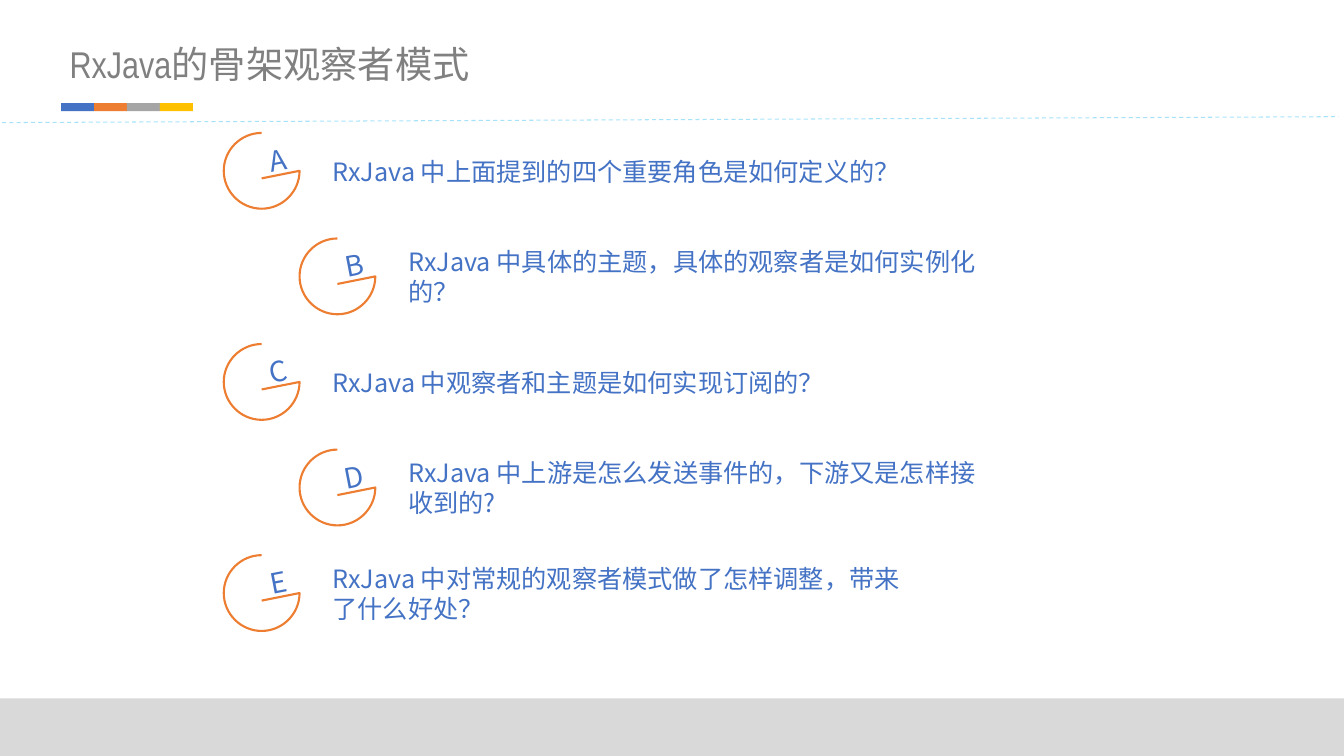
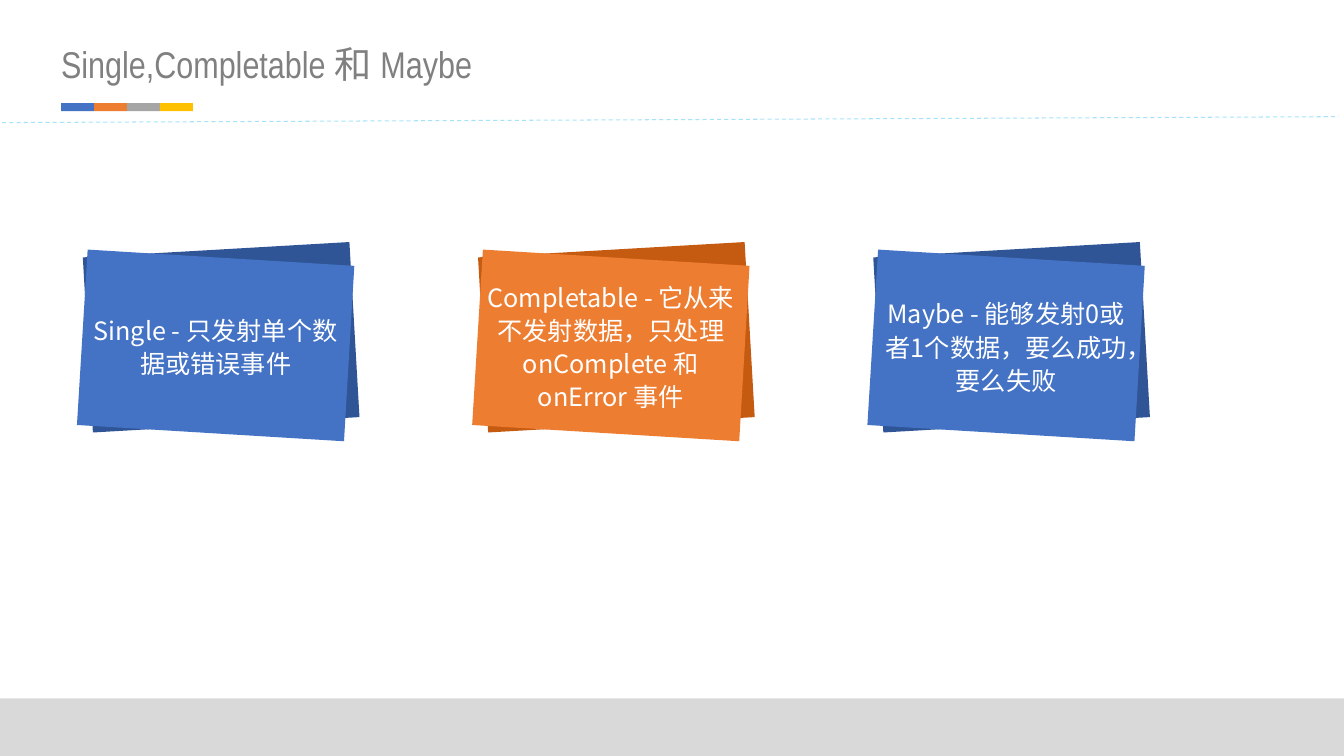
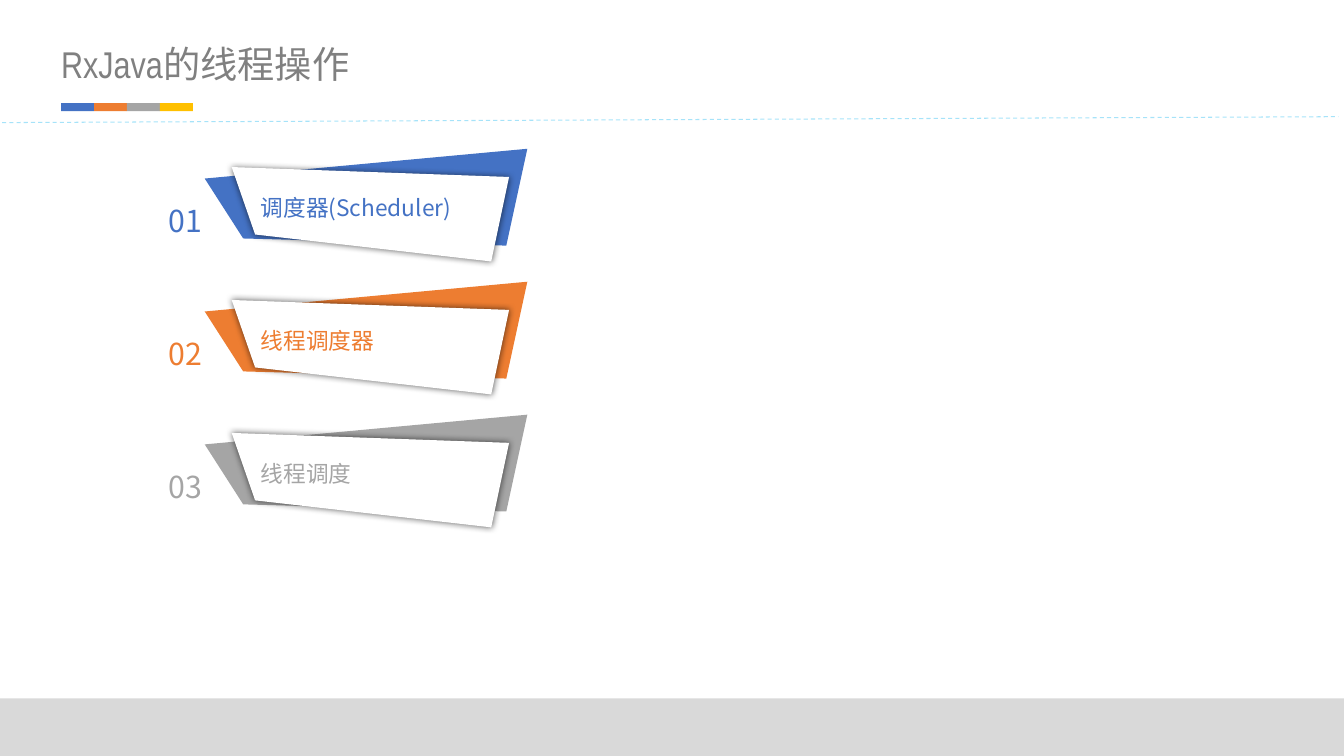
from lxml import etree
from pptx import Presentation
from pptx.dml.color import RGBColor
from pptx.enum.dml import MSO_LINE
from pptx.enum.shapes import MSO_CONNECTOR, MSO_SHAPE
from pptx.enum.text import MSO_ANCHOR, PP_ALIGN
from pptx.oxml.ns import qn
from pptx.util import Cm, Pt

RECT = MSO_SHAPE.RECTANGLE
STRAIGHT = MSO_CONNECTOR.STRAIGHT
DASH = MSO_LINE.DASH
TOP, MIDDLE = MSO_ANCHOR.TOP, MSO_ANCHOR.MIDDLE
LEFT, CENTER = PP_ALIGN.LEFT, PP_ALIGN.CENTER

BLUE = RGBColor(0x44, 0x72, 0xC4)
ORANGE = RGBColor(0xED, 0x7D, 0x31)
GRAY = RGBColor(0xA5, 0xA5, 0xA5)
YELLOW = RGBColor(0xFF, 0xC0, 0x00)
DARK_BLUE = RGBColor(0x2F, 0x55, 0x97)
DARK_ORANGE = RGBColor(0xC5, 0x5A, 0x11)
SKY = RGBColor(0x00, 0xB0, 0xF0)
TITLE_GRAY = RGBColor(0x80, 0x80, 0x80)
BAND_GRAY = RGBColor(0xD9, 0xD9, 0xD9)
WHITE = RGBColor(0xFF, 0xFF, 0xFF)

BODY_FONT = "Noto Sans CJK SC"
TITLE_FONT = "Arial Narrow"
SLIDE_W, SLIDE_H = 33.87, 19.05

TITLE = {"name": TITLE_FONT, "size": Pt(26.6)}
LETTER = {"name": BODY_FONT, "size": Pt(20)}
BODY = {"name": BODY_FONT, "size": Pt(18)}
NUMBER = {"name": BODY_FONT, "size": Pt(21.6)}
LABEL = {"name": BODY_FONT, "size": Pt(16.2)}

QUESTIONS = [
    ("A", "RxJava 中上面提到的四个重要角色是如何定义的？"),
    ("B", "RxJava 中具体的主题，具体的观察者是如何实例化的？"),
    ("C", "RxJava 中观察者和主题是如何实现订阅的？"),
    ("D", "RxJava 中上游是怎么发送事件的，下游又是怎样接收到的?"),
    ("E", "RxJava 中对常规的观察者模式做了怎样调整，带来了什么好处？"),
]
CARDS = [
    ("Single - 只发射单个数据或错误事件", BLUE, DARK_BLUE),
    ("Completable - 它从来不发射数据，只处理 onComplete 和 onError 事件",
     ORANGE, DARK_ORANGE),
    ("Maybe - 能够发射0或者1个数据，要么成功，要么失败", BLUE, DARK_BLUE),
]
TOPICS = [
    ("调度器(Scheduler)", BLUE),
    ("线程调度器", ORANGE),
    ("线程调度", GRAY),
]

CARD_OUTLINE = [(6.73, 4.83), (0, 4.42), (0.27, 0), (6.99, 0.41)]
BANNER_BACK = [(0, 0.75), (0.97, 2.26), (7.6, 2.44), (8.13, 0)]
BANNER_FRONT = [(0, 0), (0.59, 1.7), (6.54, 2.38), (6.99, 0.25)]
RING = 1.91
CURVE = 0.55  # handle length of a quarter circle, as a share of its radius


def paint(sp, fill=None, line=None):
    sp.shadow.inherit = False
    if fill is None:
        sp.fill.background()
    else:
        sp.fill.solid()
        sp.fill.fore_color.rgb = fill
    if line is None:
        sp.line.fill.background()
    else:
        sp.line.color.rgb = line
        sp.line.width = Pt(1.5)


def write(sp, text, style, color, align=LEFT, anchor=TOP, inset=None,
          wrap=True, spacing=None):
    tf = sp.text_frame
    tf.word_wrap = wrap
    tf.vertical_anchor = anchor
    if inset is not None:
        for side in ("left", "top", "right", "bottom"):
            setattr(tf, f"margin_{side}", Cm(inset))
    p = tf.paragraphs[0]
    p.alignment = align
    if spacing:
        p.line_spacing = spacing
    r = p.add_run()
    r.text = text
    for key, value in style.items():
        setattr(r.font, key, value)
    r.font.color.rgb = color
    ea = etree.SubElement(r.font._element, qn("a:ea"))
    ea.set("typeface", BODY_FONT)


def add_text(s, box, text, style, color, **layout):
    sp = s.shapes.add_textbox(*map(Cm, box))
    write(sp, text, style, color, **layout)
    return sp


def add_rect(s, box, fill):
    sp = s.shapes.add_shape(RECT, *map(Cm, box))
    paint(sp, fill)
    return sp


def add_outline(s, x, y, points, fill=None, line=None, close=True):
    """Draw straight segments through points given relative to (x, y)."""
    corners = [(Cm(x + dx), Cm(y + dy)) for dx, dy in points]
    builder = s.shapes.build_freeform(*corners[0])
    builder.add_line_segments(corners[1:], close=close)
    sp = builder.convert_to_shape()
    paint(sp, fill, line)
    return sp


def add_alpha(color_element, percent):
    alpha = etree.SubElement(color_element, qn("a:alpha"))
    alpha.set("val", str(percent * 1000))


def add_glow_shadow(sp):
    """Put a soft shadow evenly around a shape."""
    effects = sp._element.spPr.find(qn("a:effectLst"))
    shadow = etree.SubElement(effects, qn("a:outerShdw"), blurRad=str(Pt(5)),
                              algn="ctr", rotWithShape="0")
    add_alpha(etree.SubElement(shadow, qn("a:srgbClr"), val="000000"), 60)


def add_dashed_rule(s):
    rule = s.shapes.add_connector(STRAIGHT, Cm(-0.13), Cm(3.09),
                                  Cm(33.73), Cm(2.94))
    rule.line.color.rgb = SKY
    rule.line.width = Pt(0.75)
    rule.line.dash_style = DASH
    spPr = rule._element.spPr
    add_alpha(next(spPr.iter(qn("a:srgbClr"))), 34)
    etree.SubElement(spPr, qn("a:effectLst"))


def new_slide(prs, title):
    s = prs.slides.add_slide(prs.slide_layouts[6])
    add_rect(s, (0, 17.6, SLIDE_W, SLIDE_H - 17.6), BAND_GRAY)
    for i, color in enumerate((BLUE, ORANGE, GRAY, YELLOW)):
        add_rect(s, (1.54 + i * 0.83, 2.6, 0.83, 0.2), color)
    add_text(s, (1.54, 1.03, 14.96, 1.14), title, TITLE, TITLE_GRAY, inset=0)
    add_dashed_rule(s)
    return s


def add_hook(s, x, y):
    """Draw three quarters of a ring, from its right to its top, with a tail."""
    r = RING / 2
    quarters = [(RING, r), (r, RING), (0, r), (r, 0)]
    hook = add_outline(s, x, y, [(r, 1.2 * r)] + quarters, line=ORANGE,
                       close=False)
    arcs = list(hook._element.iter(qn("a:lnTo")))[1:]
    for arc, start, end in zip(arcs, quarters, quarters[1:]):
        # Both handles point to the corner where the two tangents meet.
        corner = (start[0] + end[0] - r, start[1] + end[1] - r)
        handles = [[a + (c - a) * CURVE for a, c in zip(point, corner)]
                   for point in (start, end)]
        arc.tag = qn("a:cubicBezTo")
        for i, (px, py) in enumerate(handles):
            pt = etree.Element(qn("a:pt"), x=str(Cm(px)), y=str(Cm(py)))
            arc.insert(i, pt)


def add_question(s, x, y, letter, text):
    add_hook(s, x, y)
    mark = add_text(s, (x + 0.9, y + 0.3, 0.94, 0.74), letter, LETTER, BLUE,
                    align=CENTER, anchor=MIDDLE, inset=0)
    mark.rotation = -11
    add_text(s, (x + 2.49, y - 0.22, 14.86, 2.36), text, BODY, BLUE,
             anchor=MIDDLE)


def add_card(s, x, y, text, color, shade):
    add_rect(s, (x + 0.27, y, 6.73, 4.42), shade).rotation = -3.3
    front = add_outline(s, x, y, CARD_OUTLINE, fill=color)
    write(front, text, BODY, WHITE, align=CENTER, anchor=MIDDLE, spacing=1.1)


def add_topic(s, x, y, number, text, color):
    add_outline(s, x, y, BANNER_BACK, fill=color)
    front = add_outline(s, x + 0.68, y + 0.46, BANNER_FRONT, fill=WHITE)
    add_glow_shadow(front)
    add_text(s, (x - 1.18, y + 1.22, 1.37, 1.14), number, NUMBER, color,
             align=CENTER, wrap=False)
    add_text(s, (x + 1.16, y + 1.03, 6.25, 0.91), text, LABEL, color,
             anchor=MIDDLE)


def main():
    prs = Presentation()
    prs.slide_width, prs.slide_height = Cm(SLIDE_W), Cm(SLIDE_H)

    s = new_slide(prs, " RxJava的骨架观察者模式")
    for i, (letter, text) in enumerate(QUESTIONS):
        add_question(s, 5.64 + i % 2 * 1.91, 3.35 + i * 2.66, letter, text)

    s = new_slide(prs, "Single,Completable 和 Maybe")
    for i, (text, color, shade) in enumerate(CARDS):
        add_card(s, 1.94 + i * 9.96, 6.29, text, color, shade)

    s = new_slide(prs, "RxJava的线程操作")
    for i, (text, color) in enumerate(TOPICS):
        add_topic(s, 5.16, 3.75 + i * 3.35, f"{i + 1:02}", text, color)

    prs.save("out.pptx")


if __name__ == "__main__":
    main()
